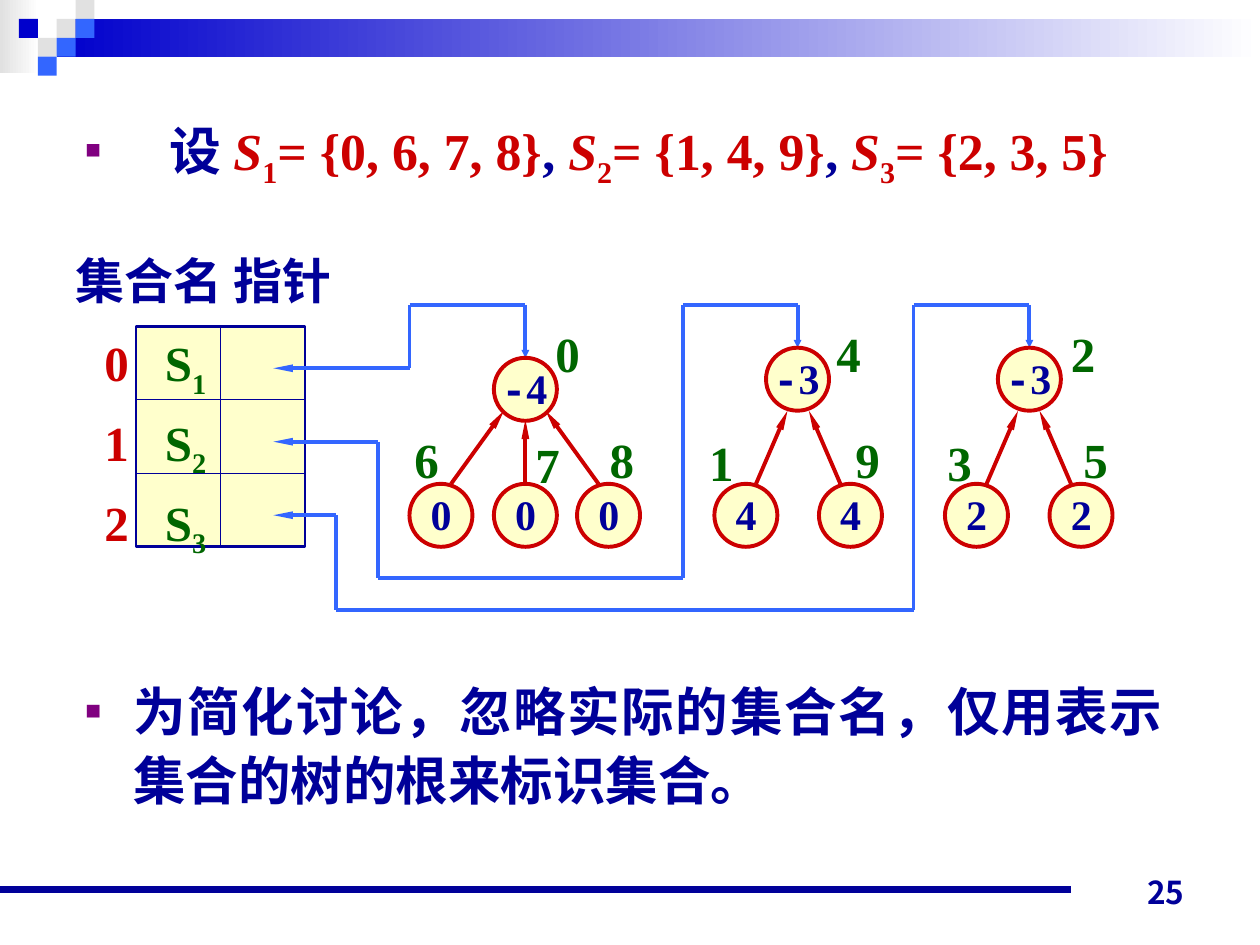
from itertools import pairwise

from lxml.etree import SubElement
from pptx import Presentation
from pptx.dml.color import RGBColor
from pptx.enum.shapes import MSO_CONNECTOR, MSO_SHAPE
from pptx.enum.text import MSO_ANCHOR, PP_ALIGN
from pptx.oxml.ns import qn
from pptx.util import Inches, Pt

NAVY = RGBColor(0x00, 0x00, 0x99)
DEEP_BLUE = RGBColor(0x00, 0x00, 0xCC)
BLUE = RGBColor(0x33, 0x66, 0xFF)
RED = RGBColor(0xCC, 0x00, 0x00)
GREEN = RGBColor(0x00, 0x66, 0x00)
PURPLE = RGBColor(0x80, 0x00, 0x80)
CREAM = RGBColor(0xFF, 0xFF, 0xCC)
GREY = RGBColor(0xE1, 0xE1, 0xE1)
WHITE = RGBColor(0xFF, 0xFF, 0xFF)

SERIF = "Times New Roman"
SANS = "Arial"
MONO = "Courier New"
CJK = "Noto Sans CJK SC"
PAGE_FONT = "Noto Sans CJK JP"

NODE = 0.5  # diameter of a tree node


class SlideBuilder:
    def __init__(self, slide):
        self.shapes = slide.shapes

    def shape(self, kind, left, top, width, height, fill, line=None, weight=0, fade=None):
        shape = self.shapes.add_shape(
            kind, Inches(left), Inches(top), Inches(width), Inches(height))
        shape.shadow.inherit = False
        if fade is None:
            shape.fill.solid()
            shape.fill.fore_color.rgb = fill
        else:
            shape.fill.gradient()
            shape.fill.gradient_angle = 0
            for stop, color in zip(shape.fill.gradient_stops, (fill, fade)):
                stop.color.rgb = color
        if line is None:
            shape.line.fill.background()
        else:
            shape.line.color.rgb = line
            shape.line.width = Pt(weight)

    def line(self, start, end, color, weight, head=None):
        line = self.shapes.add_connector(
            MSO_CONNECTOR.STRAIGHT, *(Inches(value) for value in (*start, *end)))
        line.line.color.rgb = color
        line.line.width = Pt(weight)
        if head:
            SubElement(line.line._get_or_add_ln(), qn("a:tailEnd"),
                       type="triangle", w="sm", len=head)
        SubElement(line._element.spPr, qn("a:effectLst"))

    def route(self, points, color, weight):
        """Draw a bent line with an arrowhead at both ends."""
        segments = list(pairwise(points))
        first, last = segments[0], segments[-1]
        self.line(first[1], first[0], color, weight, "lg")
        for start, end in segments[1:-1]:
            self.line(start, end, color, weight)
        self.line(*last, color, weight, "sm")

    def text(self, left, top, width, height, paragraphs, size, font=SERIF, align=None,
             spacing=None, before=0, hang=0, tab=0, wrap=True, anchor=MSO_ANCHOR.TOP):
        """Each paragraph is a list of (text, color, options) runs."""
        frame = self.shapes.add_textbox(
            Inches(left), Inches(top), Inches(width), Inches(height)).text_frame
        frame.word_wrap = wrap
        frame.vertical_anchor = anchor
        for index, runs in enumerate(paragraphs):
            paragraph = frame.add_paragraph() if index else frame.paragraphs[0]
            if hang:
                self.bullet(paragraph, hang)
            if tab:
                stops = SubElement(paragraph._p.get_or_add_pPr(), qn("a:tabLst"))
                SubElement(stops, qn("a:tab"), pos=str(Inches(tab)), algn="l")
            paragraph.alignment = align
            paragraph.line_spacing = spacing
            if index:
                paragraph.space_before = Pt(before)
            for content, color, *options in runs:
                self.run(paragraph, content, color, size, font, *options)

    def bullet(self, paragraph, hang):
        props = paragraph._p.get_or_add_pPr()
        props.set("marL", str(Inches(hang)))
        props.set("indent", str(-Inches(hang)))
        SubElement(SubElement(props, qn("a:buClr")), qn("a:srgbClr"), val=str(PURPLE))
        SubElement(props, qn("a:buSzPct"), val="50000")
        SubElement(props, qn("a:buFont"), typeface=SANS)
        SubElement(props, qn("a:buChar"), char="■")

    def run(self, paragraph, content, color, size, font, style=""):
        run = paragraph.add_run()
        run.text = content
        run.font.size = Pt(size)
        run.font.bold = True
        run.font.color.rgb = color
        run.font.name = MONO if style == "mono" else font
        if style == "italic":
            run.font.italic = True
        props = run._r.get_or_add_rPr()
        if style == "sub":
            props.set("baseline", "-25000")
        SubElement(props, qn("a:ea"), typeface=PAGE_FONT if font == PAGE_FONT else CJK)

    def node(self, left, top, value, index, index_at):
        """Draw a tree node with its value inside and its index beside it."""
        self.shape(MSO_SHAPE.OVAL, left, top, NODE, NODE, CREAM, RED, 2.25)
        if value.startswith("-"):
            runs = [("-", NAVY, "mono"), (value[1:], NAVY)]
            self.text(left - 0.04, top - 0.01, 0.61, 0.5, [runs], 24)
        else:
            self.text(left + 0.07, top - 0.01, 0.42, 0.5, [[(value, NAVY)]], 24)
        self.text(*index_at, 0.42, 0.57, [[(index, GREEN)]], 28)


def main():
    prs = Presentation()
    prs.slide_width, prs.slide_height = Inches(10), Inches(7.5)
    builder = SlideBuilder(prs.slides.add_slide(prs.slide_layouts[6]))

    # Header band and mosaic
    builder.shape(MSO_SHAPE.RECTANGLE, 0, 0, 0.31, 0.58, GREY, fade=WHITE)
    builder.shape(MSO_SHAPE.RECTANGLE, 0.45, 0.15, 9.55, 0.3, DEEP_BLUE, fade=WHITE)
    tile = 0.15
    for column, row, color in [(3, 1, GREY), (4, 0, GREY), (4, 1, BLUE), (2, 2, GREY),
                               (1, 1, DEEP_BLUE), (3, 2, BLUE), (2, 3, BLUE)]:
        builder.shape(MSO_SHAPE.RECTANGLE, column * tile, row * tile, tile, tile, color)

    # Footer rule and page number
    builder.line((0, 7.06), (8.5, 7.06), NAVY, 4.5)
    builder.text(7.17, 6.78, 2.33, 0.5, [[("25", NAVY)]], 18, PAGE_FONT,
                 align=PP_ALIGN.RIGHT, anchor=MSO_ANCHOR.BOTTOM)

    # Definition of the sets
    definition = [("设 ", NAVY)]
    for number, members in enumerate(["0, 6, 7, 8", "1, 4, 9", "2, 3, 5"], start=1):
        if number > 1:
            definition.append((", ", NAVY))
        definition += [("S", RED, "italic"), (str(number), RED, "sub"),
                       (f"= {{{members}}}", RED)]
    builder.text(0.58, 0.89, 9.06, 0.86, [definition], 29.6, spacing=0.95, hang=0.67)

    # Closing remark
    remark = "为简化讨论，忽略实际的集合名，仅用表示集合的树的根来标识集合。"
    builder.text(0.58, 5.29, 8.75, 1.33, [[(remark, NAVY)]], 30, SANS,
                 align=PP_ALIGN.JUSTIFY, spacing=1.1, hang=0.38)

    # Set name and pointer grid
    left, top, right, bottom, divider = 1.08, 2.59, 2.42, 4.34, 1.75
    row_height = (bottom - top) / 3
    builder.shape(MSO_SHAPE.RECTANGLE, left, top, right - left, bottom - top,
                  CREAM, NAVY, 1.5)
    builder.line((divider, top), (divider, bottom), NAVY, 0.75)
    for row in (1, 2):
        y = top + row * row_height
        builder.line((left, y), (right, y), NAVY, 0.75)
    builder.text(0.5, 1.94, 2.57, 0.57, [[("集合名 指针", NAVY)]], 28, CJK)
    set_names = [[(f"{row}\t", RED), ("S", GREEN), (str(row + 1), GREEN, "sub")]
                 for row in range(3)]
    builder.text(0.73, 2.54, 1.01, 1.95, set_names, 28, spacing=1.1, before=3.5,
                 tab=0.48, wrap=False)

    # Links between pointers and tree roots
    pointer_x, bus_y = 2.17, 2.42
    pointer_y = [top + (row + 0.57) * row_height for row in range(3)]
    links = [
        [(3.25, pointer_y[0]), (3.25, bus_y), (4.17, bus_y), (4.17, 2.84)],
        [(3, pointer_y[1]), (3, 4.59), (5.42, 4.59), (5.42, bus_y),
         (6.33, bus_y), (6.33, 2.76)],
        [(2.67, pointer_y[2]), (2.67, 4.84), (7.25, 4.84), (7.25, bus_y),
         (8.17, bus_y), (8.17, 2.76)],
    ]
    for y, bends in zip(pointer_y, links):
        builder.route([(pointer_x, y), *bends], BLUE, 2.25)

    # Edges from children to parents: (child x, parent x, parent y)
    leaf_y = 3.84
    for child_x, parent_x, parent_y in [
            (3.58, 4, 3.26), (4.17, 4.17, 3.33), (4.75, 4.33, 3.26),
            (6, 6.25, 3.26), (6.67, 6.42, 3.26),
            (7.83, 8.08, 3.26), (8.5, 8.25, 3.26)]:
        builder.line((child_x, leaf_y), (parent_x, parent_y), RED, 2.25, "lg")

    # Roots: left, top, value, index, index left
    for x, y, value, index, index_x in [
            (3.92, 2.84, "-4", "0", 4.31), (6.08, 2.76, "-3", "4", 6.54),
            (7.92, 2.76, "-3", "2", 8.4)]:
        builder.node(x, y, value, index, (index_x, 2.52))

    # Leaves: left, value, index, index position
    for x, value, index, index_at in [
            (3.25, "0", "6", (3.19, 3.36)), (3.92, "0", "7", (4.15, 3.4)),
            (4.58, "0", "8", (4.74, 3.36)), (5.67, "4", "1", (5.53, 3.38)),
            (6.5, "4", "9", (6.69, 3.36)), (7.5, "2", "3", (7.42, 3.38)),
            (8.33, "2", "5", (8.5, 3.36))]:
        builder.node(x, leaf_y, value, index, index_at)

    prs.save("out.pptx")


if __name__ == "__main__":
    main()
